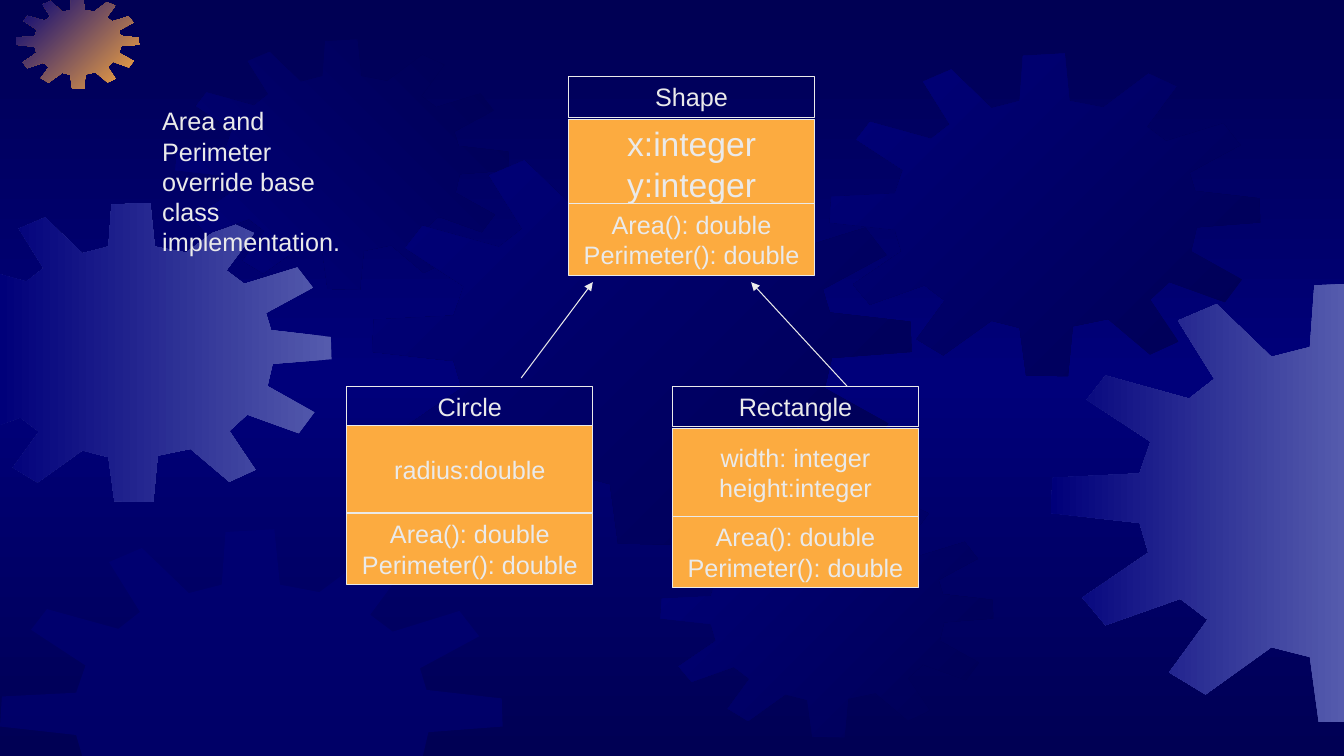
from copy import deepcopy
from pptx import Presentation
from pptx.dml.color import RGBColor
from pptx.enum.shapes import MSO_CONNECTOR as Connector, MSO_SHAPE as Preset
from pptx.enum.text import MSO_ANCHOR as Anchor, PP_ALIGN as Align
from pptx.oxml.ns import qn
from pptx.oxml.xmlchemy import OxmlElement
from pptx.util import Inches, Pt

WIDTH, HEIGHT = Inches(13.33), Inches(7.5)
COL, ROW = WIDTH / 100, HEIGHT / 100  # the slide is a grid of 100 by 100

COLORS = {"night": "000054", "navy": "00007A", "haze": "555BAD",
          "amber": "FCAB40", "pale": "EAEAEA"}
FONT = {"name": "Arial", "size": Pt(18)}

# One gear outline, drawn on a field of 535 by 401 units
GEAR_FIELD = (535, 401)
GEAR_OUTLINE = [
    (340, 67), (298, 59), (292, 0), (240, 3), (236, 59), (201, 68),
    (151, 20), (116, 35), (149, 88), (126, 106), (50, 85), (33, 107),
    (91, 145), (81, 174), (2, 178), (0, 210), (81, 219), (89, 246),
    (29, 287), (50, 312), (118, 288), (143, 307), (108, 355), (141, 375),
    (201, 332), (236, 341), (244, 400), (296, 401), (302, 339), (346, 330),
    (398, 374), (433, 358), (398, 306), (422, 284), (491, 309), (512, 281),
    (449, 246), (456, 216), (535, 210), (534, 180), (454, 171), (447, 148),
    (510, 114), (489, 87), (418, 109), (394, 91), (431, 41), (396, 25)]

# Left column, top row, columns wide, colours from start to end, angle
GEARS = [
    (-5.03, 26.8, 29.7, ("haze", "navy"), 180),
    (1.2, -0.47, 9.15, ("amber", "navy"), 225),
    (13.05, 5.2, 24.83, ("night", "navy"), 135),
    (27.68, 18.53, 40.14, ("night", "navy"), 225),
    (0, 70, 37.4, ("navy",), None),
    (49.14, 64.53, 24.76, ("night", "navy"), 225),
    (61.74, 7.07, 32.03, ("night", "navy"), 225),
    (78.17, 37.33, 43.74, ("haze", "navy"), 180)]

# Left column, top row, name, fields, field size, row offsets of both parts
CLASSES = [
    (42.31, 10.13, "Shape", ["x:integer", "y:integer"], 24, (5.73, 16.8)),
    (25.81, 51.07, "Circle", ["radius:double"], 18, (5.2, 16.8)),
    (50.04, 51.07, "Rectangle", ["width: integer", "height:integer"], 18,
     (5.6, 17.2))]
METHODS = ["Area(): double", "Perimeter(): double"]
CLASS_COLS, NAME_ROWS, FIELD_ROWS, METHOD_ROWS = 18.3, 5.4, 11.6, 9.47

INHERITANCE = [((38.78, 50), (44.11, 37.33)), ((63.02, 51.07), (55.89, 37.33))]
NOTE = "Area and Perimeter override base class implementation."


def rgb(key):
    return RGBColor.from_string(COLORS[key])


def cell(col, row, cols, rows):
    return [round(v) for v in (col * COL, row * ROW, cols * COL, rows * ROW)]


def fill_gradient(fill, keys, angle):
    fill.gradient()
    fill.gradient_angle = (360 - angle) % 360
    for stop, key in zip(fill.gradient_stops, keys):
        stop.color.rgb = rgb(key)


def paint_background(slide):
    fill = slide.background.fill
    fill_gradient(fill, ("night", "navy"), 90)
    stops = slide.element.find(".//" + qn("a:gsLst"))
    stops.append(deepcopy(stops[0]))
    for stop, position in zip(fill.gradient_stops, (0, 0.5, 1)):
        stop.position = position


def clip(points, axis, limit, sign):
    """Keep the part of the outline on one side of a slide edge."""
    kept = []
    for a, b in zip(points[-1:] + points[:-1], points):
        a_in, b_in = (sign * (p[axis] - limit) >= 0 for p in (a, b))
        if a_in != b_in:
            t = (limit - a[axis]) / (b[axis] - a[axis])
            kept.append(tuple(m + t * (n - m) for m, n in zip(a, b)))
        if b_in:
            kept.append(b)
    return kept


def add_gear(slide, col, row, cols, keys, angle):
    left, top, width = col * COL, row * ROW, cols * COL
    points = [(left + x / GEAR_FIELD[0] * width,
               top + y / GEAR_FIELD[1] * width * 0.75) for x, y in GEAR_OUTLINE]
    for axis, extent in enumerate((WIDTH, HEIGHT)):
        points = clip(clip(points, axis, 0, 1), axis, extent, -1)
    points = [(round(x), round(y)) for x, y in points]
    builder = slide.shapes.build_freeform(*points[0], scale=1.0)
    builder.add_line_segments(points[1:], close=True)
    gear = builder.convert_to_shape()
    gear.shadow.inherit = False
    gear.line.fill.background()
    if angle is not None:
        fill_gradient(gear.fill, keys, angle)
        return
    # The plain gear is half transparent
    gear.fill.solid()
    gear.fill.fore_color.rgb = rgb(keys[0])
    alpha = OxmlElement("a:alpha")
    alpha.set("val", "50000")
    gear.element.spPr.find(".//" + qn("a:srgbClr")).append(alpha)


def write(frame, lines, align, anchor, size=18):
    frame.word_wrap = True
    frame.vertical_anchor = anchor
    for i, line in enumerate(lines):
        paragraph = frame.paragraphs[0] if i == 0 else frame.add_paragraph()
        paragraph.alignment = align
        run = paragraph.add_run()
        run.text = line
        for attribute, value in {**FONT, "size": Pt(size)}.items():
            setattr(run.font, attribute, value)
        run.font.color.rgb = rgb("pale")


def outline(line):
    line.color.rgb = rgb("pale")
    line.width = Pt(0.75)


def add_compartment(slide, box, lines, filled, size=18):
    part = slide.shapes.add_shape(Preset.RECTANGLE, *box)
    part.shadow.inherit = False
    outline(part.line)
    if filled:
        part.fill.solid()
        part.fill.fore_color.rgb = rgb("amber")
    else:
        part.fill.background()
    write(part.text_frame, lines, Align.CENTER,
          Anchor.MIDDLE if filled else Anchor.TOP, size)


def add_class(slide, col, row, name, fields, field_size, offsets):
    parts = [(0, NAME_ROWS, [name], False, 18),
             (offsets[0], FIELD_ROWS, fields, True, field_size),
             (offsets[1], METHOD_ROWS, METHODS, True, 18)]
    for offset, rows, lines, filled, size in parts:
        add_compartment(slide, cell(col, row + offset, CLASS_COLS, rows),
                        lines, filled, size)


def add_inheritance(slide, child, parent):
    arrow = slide.shapes.add_connector(
        Connector.STRAIGHT, *cell(*child, *parent))
    outline(arrow.line)
    head = OxmlElement("a:tailEnd")
    head.set("type", "triangle")
    arrow.line._get_or_add_ln().append(head)
    arrow.element.spPr.append(OxmlElement("a:effectLst"))


def add_note(slide, box):
    note = slide.shapes.add_textbox(*box)
    write(note.text_frame, [NOTE], Align.LEFT, Anchor.TOP)


def main():
    deck = Presentation()
    deck.slide_width, deck.slide_height = WIDTH, HEIGHT
    slide = deck.slides.add_slide(deck.slide_layouts[6])
    paint_background(slide)
    for gear in GEARS:
        add_gear(slide, *gear)
    for entry in CLASSES:
        add_class(slide, *entry)
    for child, parent in INHERITANCE:
        add_inheritance(slide, child, parent)
    add_note(slide, cell(11.33, 13.33, 15.9, 21.33))
    deck.save("out.pptx")


if __name__ == "__main__":
    main()
